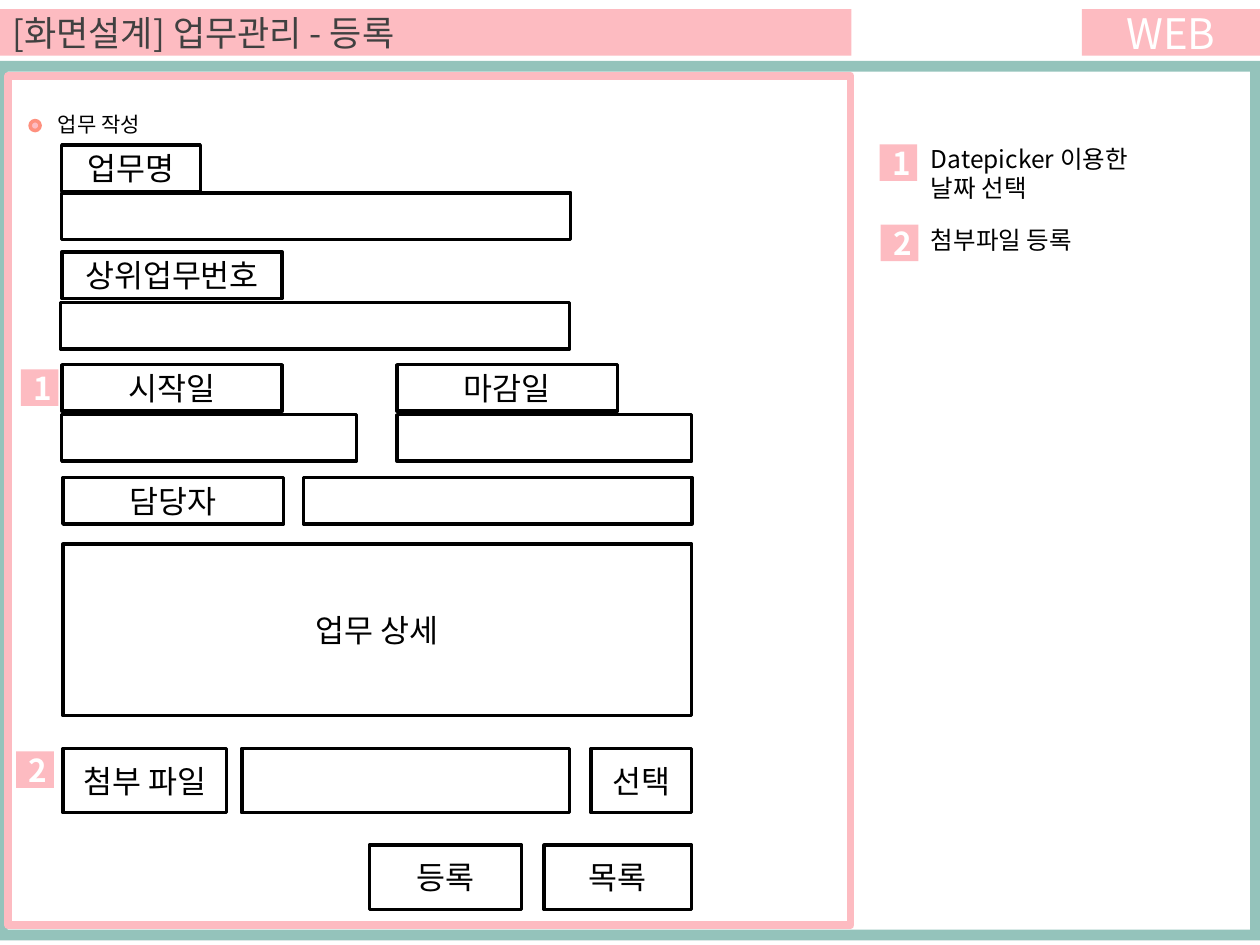
from pptx import Presentation
from pptx.util import Pt
from pptx.dml.color import RGBColor as RGB
from pptx.enum.shapes import MSO_SHAPE as Kind
from pptx.enum.text import PP_ALIGN as Align, MSO_ANCHOR as Anchor
from lxml.etree import SubElement
from pptx.oxml.ns import qn

FACE = "Noto Sans CJK KR"
PINK = RGB(0xFD, 0xBB, 0xC1)
CORAL = RGB(0xFE, 0x90, 0x7E)
TEAL = RGB(0x94, 0xC3, 0xBB)
WHITE = RGB(0xFF, 0xFF, 0xFF)
BLACK = RGB(0, 0, 0)
GRAY = RGB(0x40, 0x40, 0x40)

# Content: form rows as (top, height, fields); a field is (left, width, label)
LOW, TALL = 26.6, 36.7
LEFT, RIGHT = 35.3, 226.8
ROWS = [
    (82.8, LOW, [(LEFT, 79.2, "업무명")]),
    (110.2, LOW, [(LEFT, 290.9, "")]),
    (144, LOW, [(LEFT, 126, "상위업무번호")]),
    (172.8, LOW, [(34.6, 290.9, "")]),
    (208.4, LOW, [(LEFT, 126, "시작일"), (RIGHT, 126, "마감일")]),
    (237, LOW, [(LEFT, 168.5, ""), (RIGHT, 168.5, "")]),
    (272.9, LOW, [(36, 126, "담당자"), (173.5, 221.8, "")]),
    (311, 98, [(36, 359.3, "업무 상세")]),
    (427.7, TALL, [(36, 93.6, "첨부 파일"), (138.2, 187.2, ""),
                   (337.7, 57.6, "선택")]),
    (483, TALL, [(211, 87.1, "등록"), (311, 84.3, "목록")]),
]
BADGES = [("1", 502.7, 82.5), ("2", 503.3, 128.4),
          ("1", 12, 211), ("2", 9.3, 429.4)]
# Notes: text, left, top, width, height, size
NOTES = [
    ("업무 작성", 26, 60.5, 278, 21.6, 12),
    ("Datepicker 이용한 날짜 선택", 524.9, 78.5, 144, 41, 14),
    ("첨부파일 등록", 524.9, 125.3, 137.5, 24.5, 14),
]

deck = Presentation()
deck.slide_width, deck.slide_height = Pt(720), Pt(540)
slide = deck.slides.add_slide(deck.slide_layouts[6])


def write(shape, text, size=18, color=BLACK, bold=False,
          align=Align.CENTER, anchor=Anchor.MIDDLE):
    frame = shape.text_frame
    frame.word_wrap = True
    frame.vertical_anchor = anchor
    para = frame.paragraphs[0]
    para.alignment = align
    run = para.add_run()
    run.text = text
    font = run.font
    font.name, font.size, font.bold = FACE, Pt(size), bold
    font.color.rgb = color
    # East Asian face for the Korean text
    SubElement(run._r.get_or_add_rPr(), qn("a:ea"), typeface=FACE)


def draw(x, y, w, h, fill=None, line=None, width=2, kind=Kind.RECTANGLE):
    shape = slide.shapes.add_shape(kind, Pt(x), Pt(y), Pt(w), Pt(h))
    shape.shadow.inherit = False
    if fill is None:
        shape.fill.background()
    else:
        shape.fill.solid()
        shape.fill.fore_color.rgb = fill
    if line is None:
        shape.line.fill.background()
    else:
        shape.line.color.rgb = line
        shape.line.width = Pt(width)
    return shape


# Page frame
draw(0, 34.8, 720, 502.6, TEAL)
draw(4.3, 41, 710, 490.3, WHITE)
draw(4.6, 43.3, 481.5, 485.3, line=PINK, width=4.5)

# Header bars
write(draw(0, 5.3, 486.5, 26.6, PINK), "[화면설계] 업무관리 - 등록",
      size=20, color=GRAY, align=Align.LEFT)
write(draw(618.3, 5.3, 101.7, 26.6, PINK), "WEB", size=24, color=WHITE)

# Bullet mark and notes
draw(17.2, 68.9, 5.7, 5.7, PINK, CORAL, kind=Kind.OVAL)
for text, x, y, w, h, size in NOTES:
    box = slide.shapes.add_textbox(Pt(x), Pt(y), Pt(w), Pt(h))
    write(box, text, size=size, align=Align.LEFT, anchor=Anchor.TOP)

# Form fields
for top, high, fields in ROWS:
    for x, w, label in fields:
        field = draw(x, top, w, high, WHITE, BLACK)
        if label:
            write(field, label)

# Number badges
for text, x, y in BADGES:
    write(draw(x, y, 21.5, 20.9, PINK), text, color=WHITE, bold=True)

deck.save("out.pptx")
